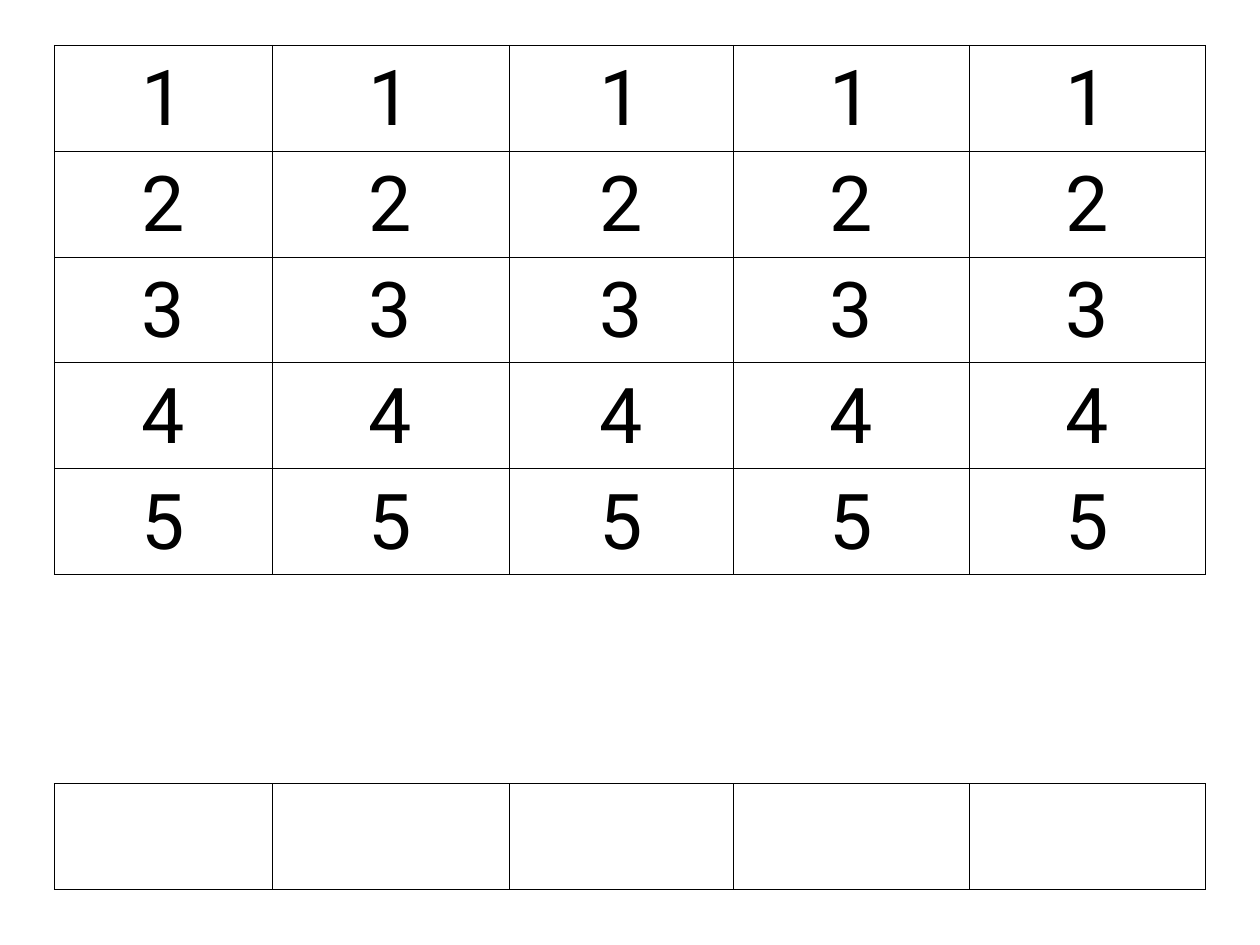
from lxml.etree import SubElement
from pptx import Presentation
from pptx.dml.color import RGBColor
from pptx.enum.text import MSO_ANCHOR, PP_ALIGN
from pptx.oxml.ns import qn
from pptx.util import Inches, Pt

COLORS = {"paper": "FFFFFF", "ink": "000000"}
NUMBER_FORMAT = {"name": "Roboto", "size": Pt(44), "bold": False}
BORDER_WIDTH = Pt(0.45)

COLUMN_WIDTHS = [1.73, 1.88, 1.78, 1.87, 1.88]
ROW_HEIGHT = 0.84
GAP_HEIGHT = 1.66
NUMBERS = ["1", "2", "3", "4", "5"]
GAP_ROW = len(NUMBERS)
ROW_HEIGHTS = [ROW_HEIGHT] * len(NUMBERS) + [GAP_HEIGHT, ROW_HEIGHT]


class SlideBuilder:
    def __init__(self, slide):
        self.slide = slide

    def color(self, name):
        return RGBColor.from_string(COLORS[name])

    def table(self, left, top, widths, heights):
        table = self.slide.shapes.add_table(
            len(heights), len(widths), Inches(left), Inches(top),
            Inches(sum(widths)), Inches(sum(heights))).table
        table.first_row = table.horz_banding = False
        for column, width in zip(table.columns, widths):
            column.width = Inches(width)
        for row, height in zip(table.rows, heights):
            row.height = Inches(height)
        return table

    def borders(self, cell, visible_sides):
        properties = cell._tc.get_or_add_tcPr()
        for side in "LRTB":
            line = SubElement(properties, qn(f"a:ln{side}"), w=str(BORDER_WIDTH))
            if side in visible_sides:
                fill = SubElement(line, qn("a:solidFill"))
                SubElement(fill, qn("a:srgbClr"), val=COLORS["ink"])
            else:
                SubElement(line, qn("a:noFill"))

    def boxed_cell(self, cell):
        self.borders(cell, "LRTB")
        cell.fill.solid()
        cell.fill.fore_color.rgb = self.color("paper")

    def gap_cell(self, cell):
        self.borders(cell, "TB")
        cell.fill.background()

    def number(self, cell, text):
        cell.vertical_anchor = MSO_ANCHOR.BOTTOM
        paragraph = cell.text_frame.paragraphs[0]
        paragraph.alignment = PP_ALIGN.CENTER
        run = paragraph.add_run()
        run.text = text
        for name, value in NUMBER_FORMAT.items():
            setattr(run.font, name, value)
        run.font.color.rgb = self.color("ink")


def main():
    presentation = Presentation()
    presentation.slide_width = Inches(10)
    presentation.slide_height = Inches(7.5)
    slide = presentation.slides.add_slide(presentation.slide_layouts[6])
    builder = SlideBuilder(slide)

    # Number grid, open gap, then a row of empty answer boxes
    table = builder.table(0.43, 0.36, COLUMN_WIDTHS, ROW_HEIGHTS)
    for index, row in enumerate(table.rows):
        for cell in row.cells:
            if index == GAP_ROW:
                builder.gap_cell(cell)
                continue
            builder.boxed_cell(cell)
            if index < GAP_ROW:
                builder.number(cell, NUMBERS[index])

    presentation.save("out.pptx")


if __name__ == "__main__":
    main()
